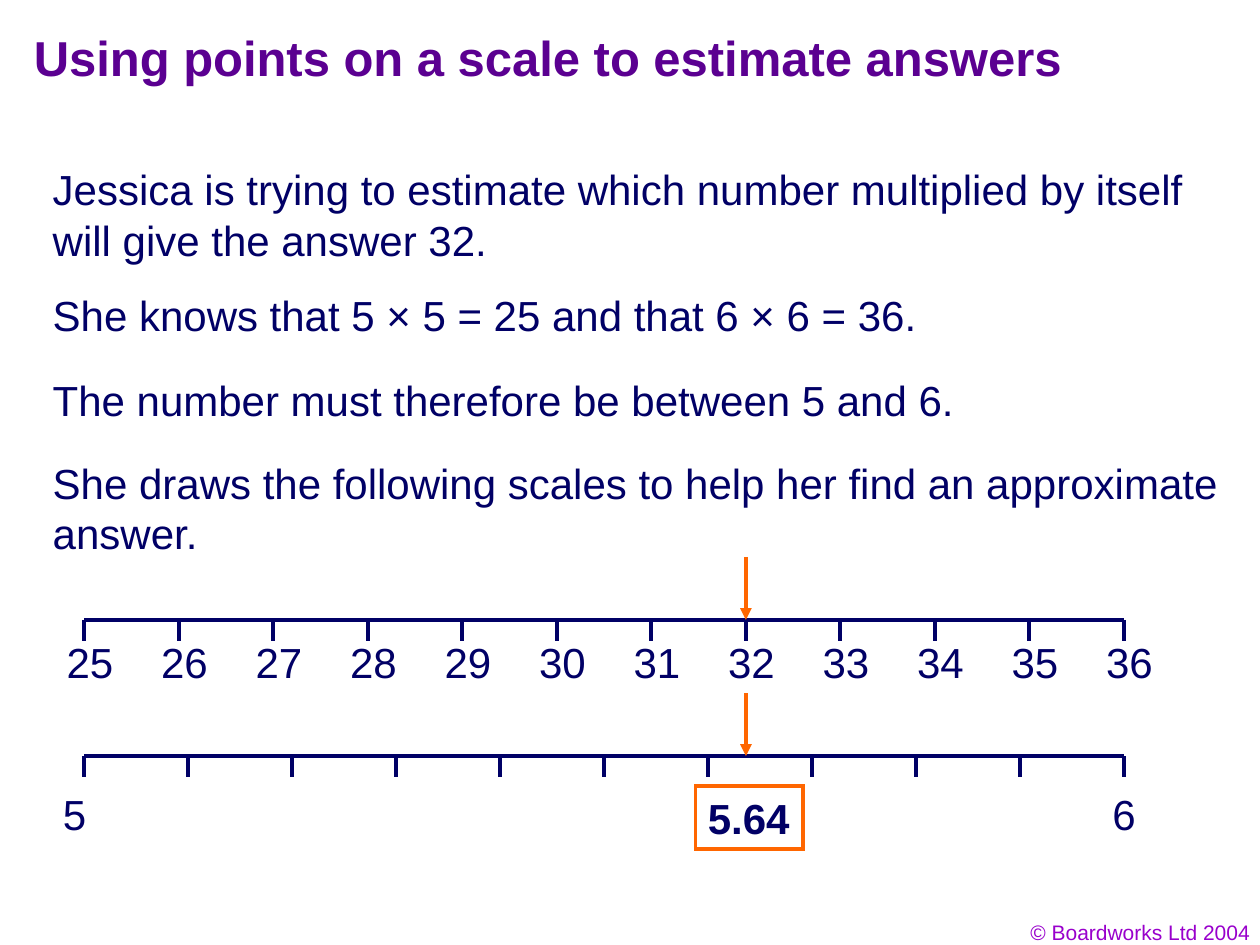
from dataclasses import dataclass

from lxml import etree
from pptx import Presentation
from pptx.dml.color import RGBColor
from pptx.enum.shapes import MSO_CONNECTOR, MSO_SHAPE
from pptx.enum.text import MSO_ANCHOR, MSO_AUTO_SIZE, PP_ALIGN
from pptx.oxml.ns import qn
from pptx.util import Inches, Pt

STRAIGHT = MSO_CONNECTOR.STRAIGHT
RECTANGLE = MSO_SHAPE.RECTANGLE
TOP = MSO_ANCHOR.TOP
FIT_SHAPE = MSO_AUTO_SIZE.SHAPE_TO_FIT_TEXT
FIXED = MSO_AUTO_SIZE.NONE
LEFT = PP_ALIGN.LEFT
RIGHT = PP_ALIGN.RIGHT

NAVY = "010066"
SCALE_NAVY = "000066"
PURPLE = "5B0091"
VIOLET = "9900CC"
ORANGE = "FF6600"

SCALE_LEFT = 0.67
SCALE_LENGTH = 8.25
TICK_LENGTH = 0.17
ARROW_LENGTH = 0.5
LINE_WIDTH = 2.25
SQUARES_TOP = 4.92
ROOTS_TOP = 6
SQUARES = range(25, 37)
SQUARE_GAP = SCALE_LENGTH / (len(SQUARES) - 1)
TARGET = 32


@dataclass(frozen=True)
class Passage:
    text: str
    left: float
    top: float
    width: float
    height: float
    size: int = 24
    color: str = NAVY
    bold: bool = False
    wrap: bool = False
    align: PP_ALIGN = LEFT
    fit: MSO_AUTO_SIZE = FIT_SHAPE


@dataclass(frozen=True)
class Scale:
    top: float
    intervals: int
    labels: tuple[Passage, ...]


PASSAGES = (
    Passage("© Boardworks Ltd 2004", 7.69, 7.25, 2.33, 0.3,
            size=12, color=VIOLET, wrap=True, align=RIGHT),
    Passage("Using points on a scale to estimate answers", 0.17, 0.17, 8.42, 0.83,
            size=28, color=PURPLE, bold=True, wrap=True, fit=FIXED),
    Passage("Jessica is trying to estimate which number multiplied by itself "
            "will give the answer 32.", 0.32, 1.25, 9.68, 0.9, wrap=True),
    Passage("She knows that 5 × 5 = 25 and that 6 × 6 = 36.",
            0.32, 2.25, 7.35, 0.5, wrap=True),
    Passage("The number must therefore be between 5 and 6.",
            0.32, 2.92, 7.5, 0.5, wrap=True),
    Passage("She draws the following scales to help her find an approximate answer.",
            0.32, 3.58, 9.68, 0.9, wrap=True),
)

SCALES = (
    Scale(SQUARES_TOP, len(SQUARES) - 1, tuple(
        Passage(str(square), SCALE_LEFT - 0.24 + index * SQUARE_GAP, 5, 0.57, 0.5)
        for index, square in enumerate(SQUARES))),
    Scale(ROOTS_TOP, 10, (
        Passage("5", 0.4, 6.21, 0.38, 0.5),
        Passage("6", 8.73, 6.21, 0.38, 0.5))),
)

ESTIMATE = Passage("5.64", 5.52, 6.24, 0.85, 0.5, bold=True)


def rgb(color: str) -> RGBColor:
    return RGBColor.from_string(color)


def write(shape, passage: Passage) -> None:
    frame = shape.text_frame
    frame_format = {"word_wrap": passage.wrap, "auto_size": passage.fit,
                    "vertical_anchor": TOP}
    for name, value in frame_format.items():
        setattr(frame, name, value)
    paragraph = frame.paragraphs[0]
    paragraph.alignment = passage.align
    run = paragraph.add_run()
    run.text = passage.text
    font_format = {"name": "Arial", "size": Pt(passage.size), "bold": passage.bold}
    for name, value in font_format.items():
        setattr(run.font, name, value)
    run.font.color.rgb = rgb(passage.color)


def bounds(passage: Passage) -> list[Inches]:
    return [Inches(length) for length in
            (passage.left, passage.top, passage.width, passage.height)]


def draw_passage(shapes, passage: Passage) -> None:
    write(shapes.add_textbox(*bounds(passage)), passage)


def draw_line(shapes, x1: float, y1: float, x2: float, y2: float,
              color: str = SCALE_NAVY, arrow: bool = False) -> None:
    line = shapes.add_connector(
        STRAIGHT, Inches(x1), Inches(y1), Inches(x2), Inches(y2))
    line.line.color.rgb = rgb(color)
    line.line.width = Pt(LINE_WIDTH)
    if arrow:
        etree.SubElement(line.line._get_or_add_ln(), qn("a:tailEnd"), type="triangle")
    etree.SubElement(line._element.spPr, qn("a:effectLst"))


def draw_scale(shapes, scale: Scale) -> None:
    group = shapes.add_group_shape().shapes
    draw_line(group, SCALE_LEFT, scale.top, SCALE_LEFT + SCALE_LENGTH, scale.top)
    for index in range(scale.intervals + 1):
        x = SCALE_LEFT + index * SCALE_LENGTH / scale.intervals
        draw_line(group, x, scale.top, x, scale.top + TICK_LENGTH)
    for label in scale.labels:
        draw_passage(group, label)


def draw_estimate(shapes, estimate: Passage) -> None:
    frame = shapes.add_shape(RECTANGLE, *bounds(estimate))
    frame.shadow.inherit = False
    frame.fill.background()
    frame.line.color.rgb = rgb(ORANGE)
    frame.line.width = Pt(LINE_WIDTH)
    etree.SubElement(frame.line._get_or_add_ln(), qn("a:miter"), lim="800000")
    write(frame, estimate)


def main() -> None:
    presentation = Presentation()
    presentation.slide_width = Inches(10)
    presentation.slide_height = Inches(7.5)
    shapes = presentation.slides.add_slide(presentation.slide_layouts[6]).shapes
    for passage in PASSAGES:
        draw_passage(shapes, passage)
    for scale in SCALES:
        draw_scale(shapes, scale)
    target_x = SCALE_LEFT + SQUARES.index(TARGET) * SQUARE_GAP
    for scale in SCALES:
        draw_line(shapes, target_x, scale.top - ARROW_LENGTH, target_x, scale.top,
                  ORANGE, arrow=True)
    draw_estimate(shapes, ESTIMATE)
    presentation.save("out.pptx")


if __name__ == "__main__":
    main()
